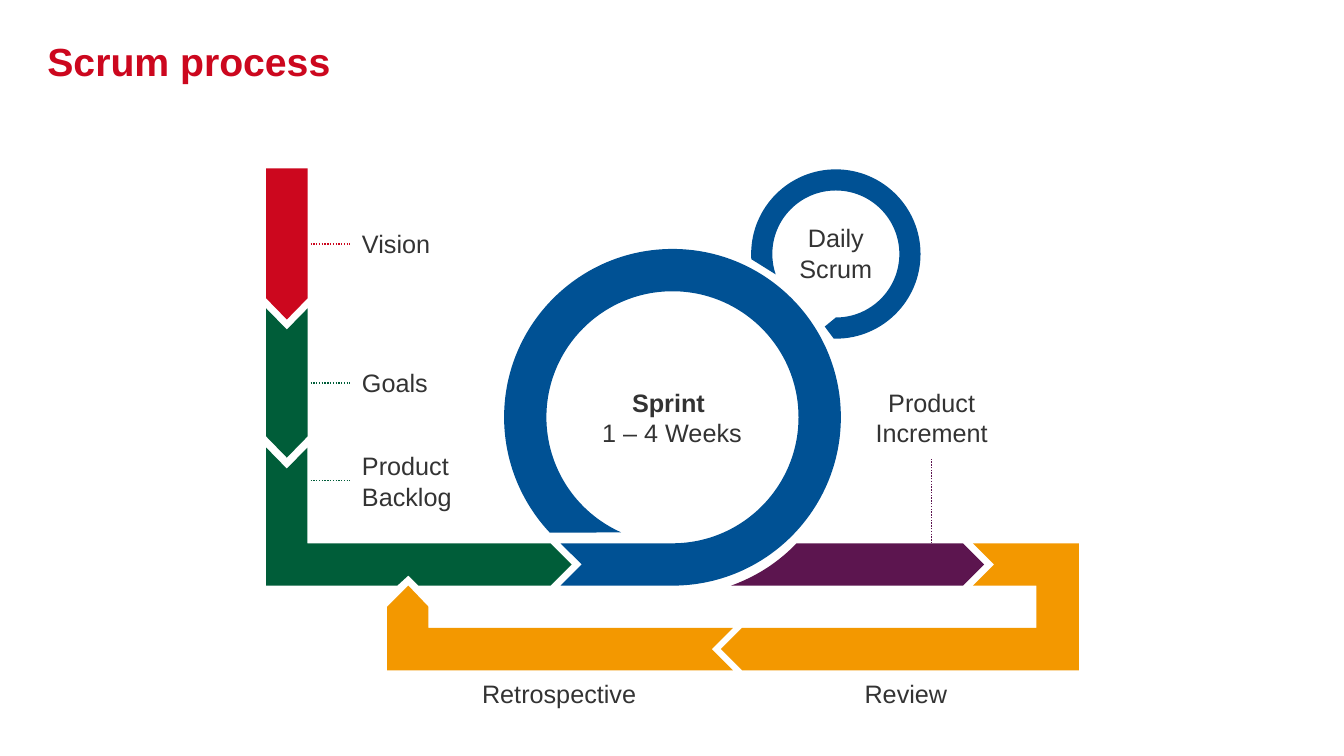
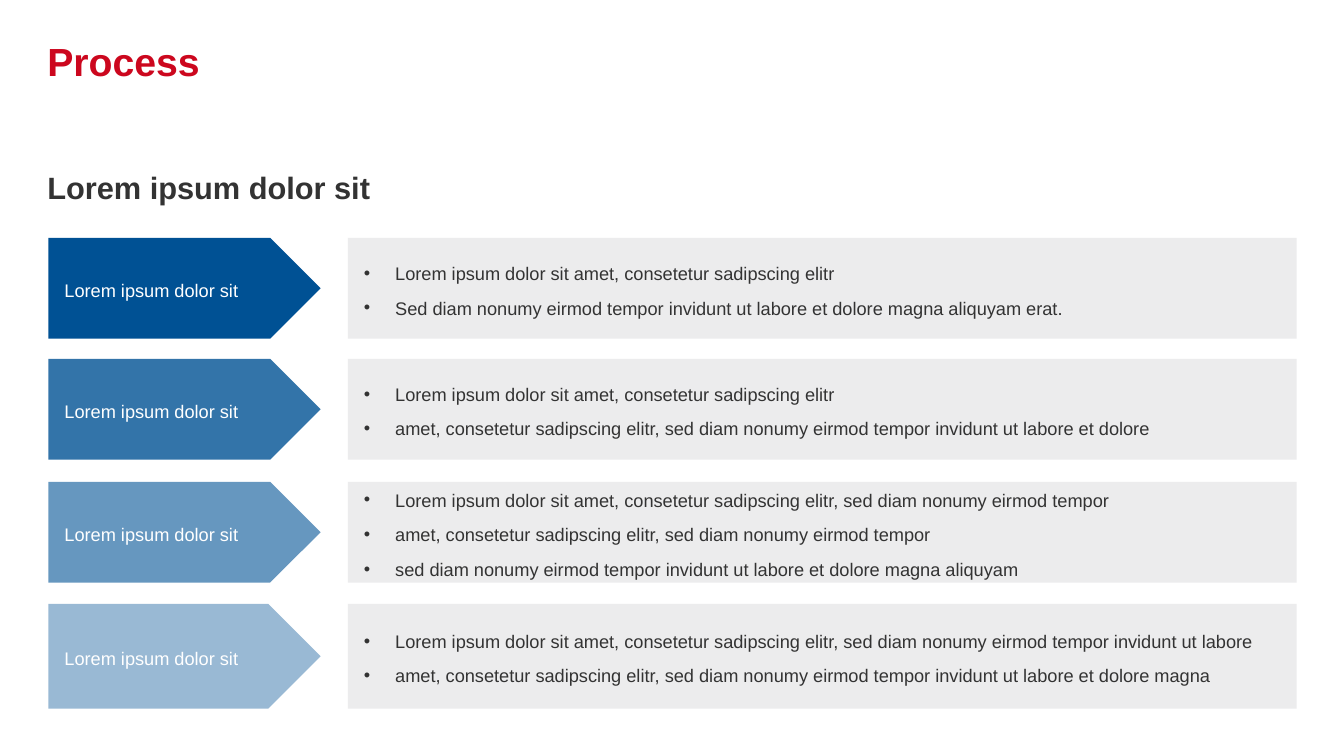
import math
import pptx
import pptx.util
import pptx.dml.color
import pptx.enum.dml
import pptx.enum.shapes
import pptx.enum.text
import pptx.oxml
import pptx.oxml.ns

Inches = pptx.util.Inches
Pt = pptx.util.Pt
SHAPE = pptx.enum.shapes.MSO_SHAPE
ALIGN = pptx.enum.text.PP_ALIGN
ANCHOR = pptx.enum.text.MSO_ANCHOR
qn = pptx.oxml.ns.qn

COLORS = {"red": "CC071E", "green": "005D39", "blue": "005194", "purple": "5C154F",
          "orange": "F39800", "text": "333333", "white": "FFFFFF", "panel": "ECECED",
          "blue80": "3374A9", "blue60": "6697BF", "blue40": "99B9D4"}
FONT = "Arial"
TITLE_STYLE = {"size": Pt(28), "bold": True}
HEAD_STYLE = {"size": Pt(22), "bold": True}
LABEL_STYLE = {"size": Pt(18), "bold": False}
ROW_STYLE = {"size": Pt(13), "bold": False}
ROW_PARAGRAPH = {"alignment": ALIGN.LEFT, "line_spacing": 1.2, "space_after": Pt(6)}
TITLE_BOX = (0.47, 0, 10.63, 1.2)


def arc(center, radius, start, end):
    low, high = sorted((start, end))
    quarters = [q for q in range(-360, 540, 90) if low < q < high]
    stops = sorted([start, *quarters, end], reverse=start > end)

    def at(degrees, push=0):
        a = math.radians(degrees)
        return (center[0] + radius * (math.cos(a) - push * math.sin(a)),
                center[1] + radius * (math.sin(a) + push * math.cos(a)))

    path = [at(start)]
    for a, b in zip(stops, stops[1:]):
        push = 4 / 3 * math.tan(math.radians(b - a) / 4)
        path.append((at(a, push), at(b, -push), at(b)))
    return path


BAND = 0.42
TIP = BAND / 2
LEFT, COL_RIGHT = 2.64, 3.05
COL_MID = (LEFT + COL_RIGHT) / 2
TOP, BOTTOM = 5.39, 5.81
MID = (TOP + BOTTOM) / 2
BACK_TOP, BACK_BOTTOM = 6.23, 6.65
BACK_MID = (BACK_TOP + BACK_BOTTOM) / 2
SPRINT, SPRINT_R = (6.67, 4.14), 1.67
DAILY, DAILY_R = (8.29, 2.52), 0.84


def down_arrow(top, shoulder, notched):
    notch = [(COL_MID, top + TIP)] if notched else []
    return [(LEFT, top)] + notch + [(COL_RIGHT, top), (COL_RIGHT, shoulder),
                                    (COL_MID, shoulder + TIP), (LEFT, shoulder)]


FLOW = [
    ("purple", [(7.25, BOTTOM), ((7.5, 5.72), (7.72, 5.58), (7.9, TOP)),
                (9.55, TOP), (9.76, MID), (9.55, BOTTOM)]),
    ("blue", arc(SPRINT, SPRINT_R, 136.7, 450)
     + [(5.56, BOTTOM), (5.77, MID), (5.56, TOP)]
     + arc(SPRINT, SPRINT_R - BAND, 90, -246)),
    ("blue", arc(DAILY, DAILY_R - TIP, 90, -198.7)
     + arc(DAILY, DAILY_R, 176.5, 451.4) + [(8.18, 3.24)]),
    ("green", [(LEFT, 4.44), (COL_MID, 4.65), (COL_RIGHT, 4.44), (COL_RIGHT, TOP),
               (5.46, TOP), (5.67, MID), (5.46, BOTTOM), (4.15, BOTTOM),
               (4.05, 5.71), (3.94, BOTTOM), (LEFT, BOTTOM)]),
    ("green", down_arrow(3.06, 4.33, True)),
    ("red", down_arrow(1.67, 2.96, False)),
    ("orange", [(9.65, TOP), (10.7, TOP), (10.7, BACK_BOTTOM), (7.36, BACK_BOTTOM),
                (7.15, BACK_MID), (7.36, BACK_TOP), (10.28, BACK_TOP),
                (10.28, BOTTOM), (9.65, BOTTOM), (9.86, MID)]),
    ("orange", [(4.05, BOTTOM), (4.25, 6.02), (4.25, BACK_TOP), (7.27, BACK_TOP),
                (7.06, BACK_MID), (7.27, BACK_BOTTOM), (3.84, BACK_BOTTOM), (3.84, 6.02)]),
]

LABELS = [
    ("Vision", (3.59, 2.27, 1.02, 0.3), ALIGN.LEFT),
    ("Goals", (3.59, 3.64, 1.02, 0.3), ALIGN.LEFT),
    ("Product Backlog", (3.59, 4.47, 1.02, 0.61), ALIGN.LEFT),
    ("Daily\vScrum", (7.6, 2.21, 1.38, 0.61), ALIGN.CENTER),
    ("Sprint \v1 – 4 Weeks", (5.88, 3.84, 1.57, 0.61), ALIGN.CENTER),
    ("Product Increment", (8.55, 3.84, 1.38, 0.61), ALIGN.CENTER),
    ("Retrospective", (3.84, 6.73, 3.41, 0.3), ALIGN.CENTER),
    ("Review", (7.27, 6.73, 3.43, 0.3), ALIGN.CENTER),
]

LEADERS = [("red", (3.08, 2.42, 3.47, 2.42)), ("green", (3.08, 3.8, 3.47, 3.8)),
           ("green", (3.08, 4.77, 3.47, 4.77)), ("purple", (9.24, TOP, 9.24, 4.55))]

STEP_NAME = "Lorem ipsum dolor sit"
STEPS = [
    ("blue", 2.36, 1, [
        "Lorem ipsum dolor sit amet, consetetur sadipscing elitr",
        "Sed diam nonumy eirmod tempor invidunt ut labore et dolore magna aliquyam erat."]),
    ("blue80", 3.56, 1, [
        "Lorem ipsum dolor sit amet, consetetur sadipscing elitr",
        "amet, consetetur sadipscing elitr, sed diam nonumy eirmod tempor invidunt "
        "ut labore et dolore"]),
    ("blue60", 4.78, 1, [
        "Lorem ipsum dolor sit amet, consetetur sadipscing elitr, sed diam nonumy eirmod tempor",
        "amet, consetetur sadipscing elitr, sed diam nonumy eirmod tempor",
        "sed diam nonumy eirmod tempor invidunt ut labore et dolore magna aliquyam"]),
    ("blue40", 5.99, 1.04, [
        "Lorem ipsum dolor sit amet, consetetur sadipscing elitr, sed diam nonumy "
        "eirmod tempor invidunt ut labore",
        "amet, consetetur sadipscing elitr, sed diam nonumy eirmod tempor invidunt "
        "ut labore et dolore magna"]),
]


def rgb(name):
    return pptx.dml.color.RGBColor.from_string(COLORS[name])


def apply(obj, values):
    for key, value in values.items():
        setattr(obj, key, value)


def style_font(font, style, color):
    apply(font, {"name": FONT, **style})
    font.color.rgb = rgb(color)


def frame(sp, anchor=ANCHOR.TOP, inset=0):
    tf = sp.text_frame
    apply(tf, {"word_wrap": True, "auto_size": pptx.enum.text.MSO_AUTO_SIZE.NONE,
               "vertical_anchor": anchor})
    for side in ("left", "top", "right", "bottom"):
        setattr(tf, "margin_" + side, Inches(inset))
    return tf


def add_bullet(p):
    pPr = p._p.get_or_add_pPr()
    pPr.set("marL", str(Inches(0.31)))
    pPr.set("indent", str(-Inches(0.31)))
    ns = pptx.oxml.ns.nsdecls("a")
    for xml in (f'<a:buClr {ns}><a:srgbClr val="{COLORS["text"]}"/></a:buClr>',
                f'<a:buFont {ns} typeface="{FONT}"/>', f'<a:buChar {ns} char="•"/>'):
        pPr.append(pptx.oxml.parse_xml(xml))


def add_paragraphs(tf, lines, style, color, settings, bullets=False):
    for i, line in enumerate(lines):
        p = tf.paragraphs[0] if i == 0 else tf.add_paragraph()
        p.text = line
        if bullets:
            add_bullet(p)
        apply(p, settings)
        for r in p.runs:
            style_font(r.font, style, color)


def add_text(s, text, box, style, settings):
    sp = s.shapes.add_textbox(*map(Inches, box))
    add_paragraphs(frame(sp), [text], style, "text", settings)
    return sp


def paint(sp, color):
    sp.shadow.inherit = False
    sp.fill.solid()
    sp.fill.fore_color.rgb = rgb(color)
    sp.line.fill.background()


def add_outline(s, color, outline):
    start, *rest = outline
    segments = [part if len(part) == 3 else (part,) for part in rest]
    builder = s.shapes.build_freeform(*map(Inches, start))
    builder.add_line_segments([tuple(map(Inches, pt)) for seg in segments for pt in seg],
                              close=True)
    sp = builder.convert_to_shape()
    lines = iter(list(sp._element.iter(qn("a:lnTo"))))
    for seg in segments:
        parts = [next(lines) for _ in seg]
        if len(parts) == 3:
            curve = parts[0].makeelement(qn("a:cubicBezTo"), {})
            parts[0].addprevious(curve)
            for part in parts:
                curve.append(part[0])
                part.getparent().remove(part)
    paint(sp, color)


def add_leader(s, color, ends):
    line = s.shapes.add_connector(pptx.enum.shapes.MSO_CONNECTOR.STRAIGHT, *map(Inches, ends))
    line.line.color.rgb = rgb(color)
    line.line.width = Pt(1)
    line.line.dash_style = pptx.enum.dml.MSO_LINE.ROUND_DOT
    spPr = line._element.spPr
    spPr.append(spPr.makeelement(qn("a:effectLst"), {}))


def add_block(s, shape, box, fill, lines, color, bullets=False):
    sp = s.shapes.add_shape(shape, *map(Inches, box))
    paint(sp, fill)
    add_paragraphs(frame(sp, ANCHOR.MIDDLE, 0.16), lines, ROW_STYLE, color,
                   ROW_PARAGRAPH, bullets)


def add_slide(prs, title):
    s = prs.slides.add_slide(prs.slide_layouts[5])
    sp = s.shapes.title
    apply(sp, dict(zip(("left", "top", "width", "height"), map(Inches, TITLE_BOX))))
    add_paragraphs(frame(sp, ANCHOR.MIDDLE), [title], TITLE_STYLE, "red",
                   {"alignment": ALIGN.LEFT})
    return s


def scrum_slide(prs):
    s = add_slide(prs, "Scrum process")
    for color, outline in FLOW:
        add_outline(s, color, outline)
    for color, ends in LEADERS:
        add_leader(s, color, ends)
    for text, box, align in LABELS:
        sp = add_text(s, text, box, LABEL_STYLE, {"alignment": align})
        r = sp.text_frame.paragraphs[0].runs[0]
        r.font.bold = r.text.startswith("Sprint")


def process_slide(prs):
    s = add_slide(prs, "Process")
    add_text(s, "Lorem ipsum dolor sit", (0.47, 1.67, 12.39, 0.37), HEAD_STYLE,
             {"alignment": ALIGN.LEFT, "space_after": Pt(6)})
    for color, top, height, lines in STEPS:
        add_block(s, SHAPE.RECTANGLE, (3.45, top, 9.41, height), "panel", lines, "text", True)
        add_block(s, SHAPE.PENTAGON, (0.48, top, 2.7, height), color, [STEP_NAME], "white")


def main():
    prs = pptx.Presentation()
    prs.slide_width, prs.slide_height = Inches(13.33), Inches(7.5)
    scrum_slide(prs)
    process_slide(prs)
    prs.save("out.pptx")


if __name__ == "__main__":
    main()
